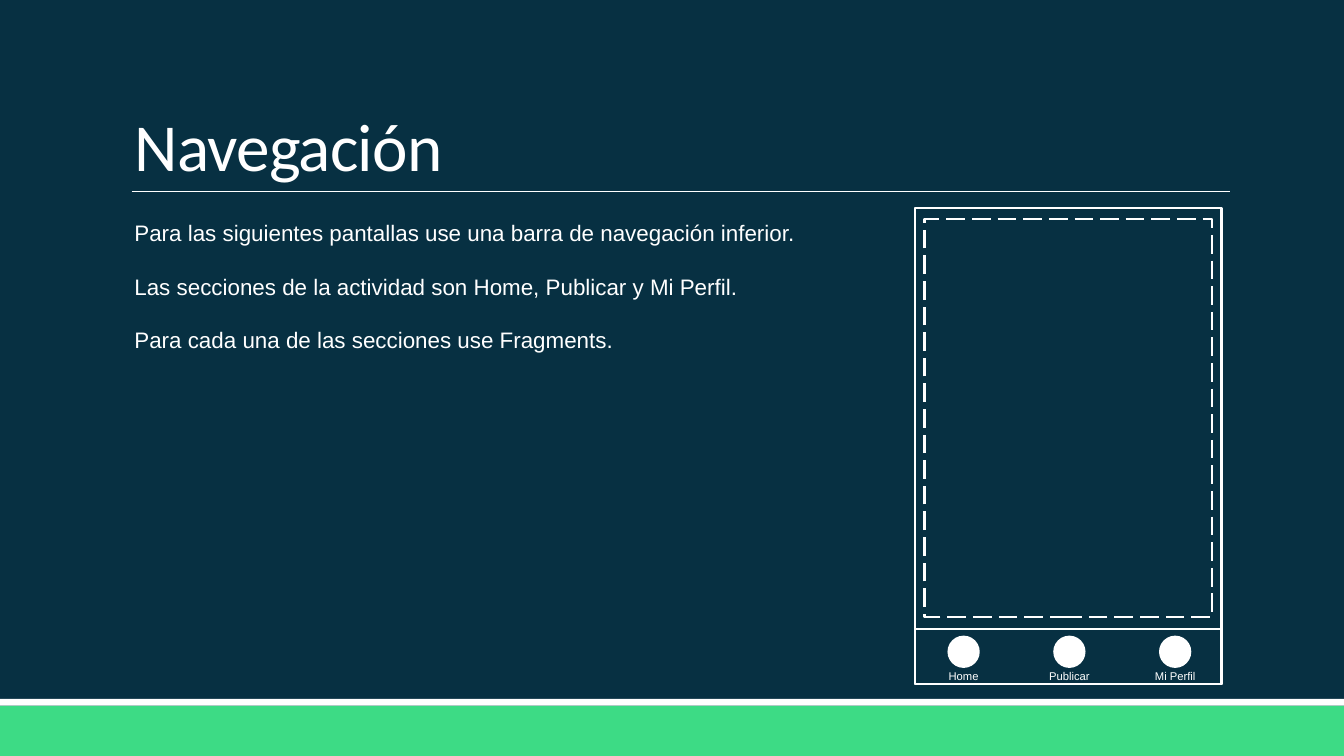
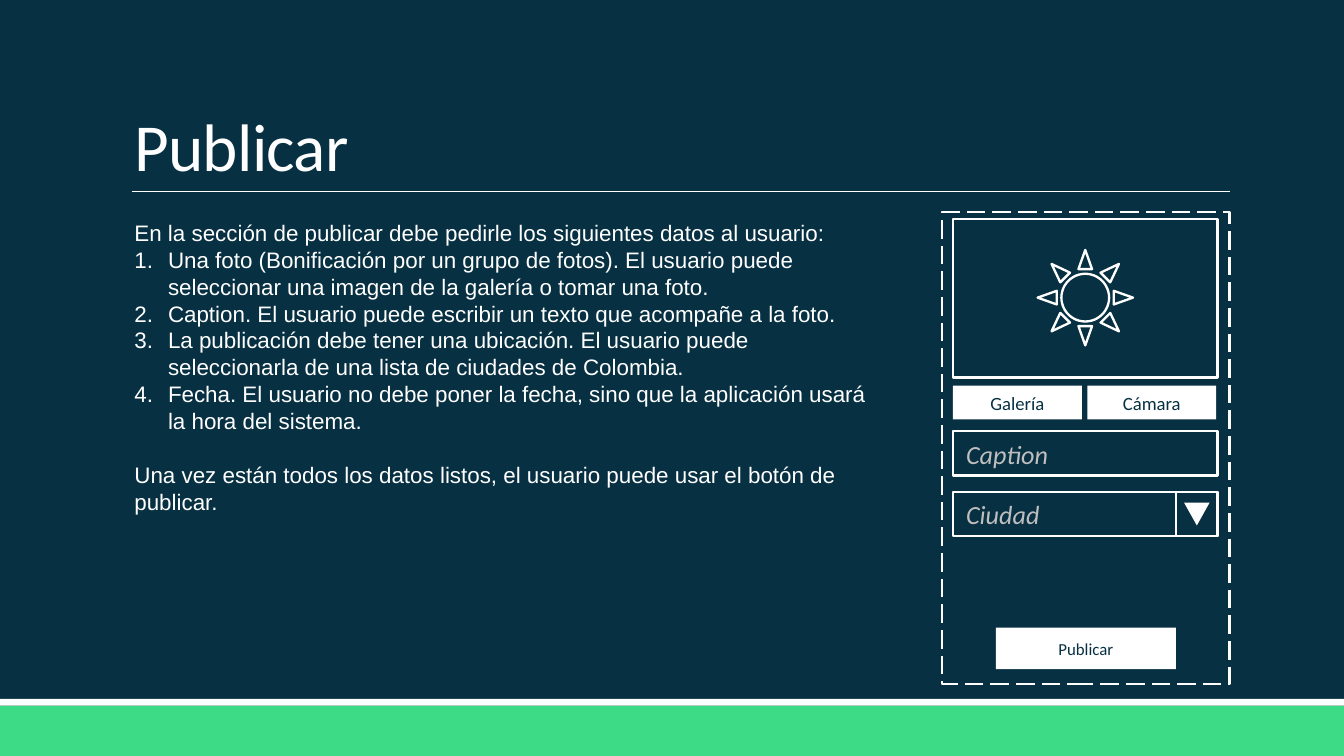
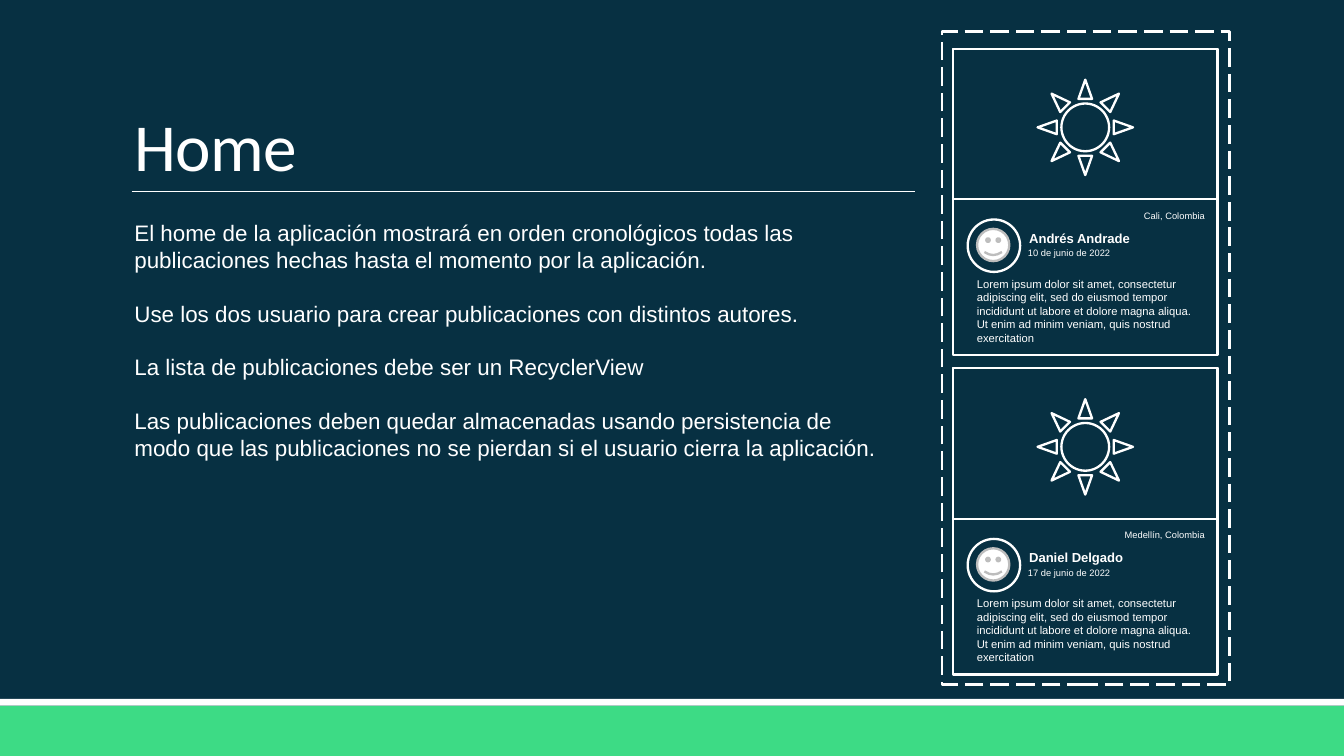
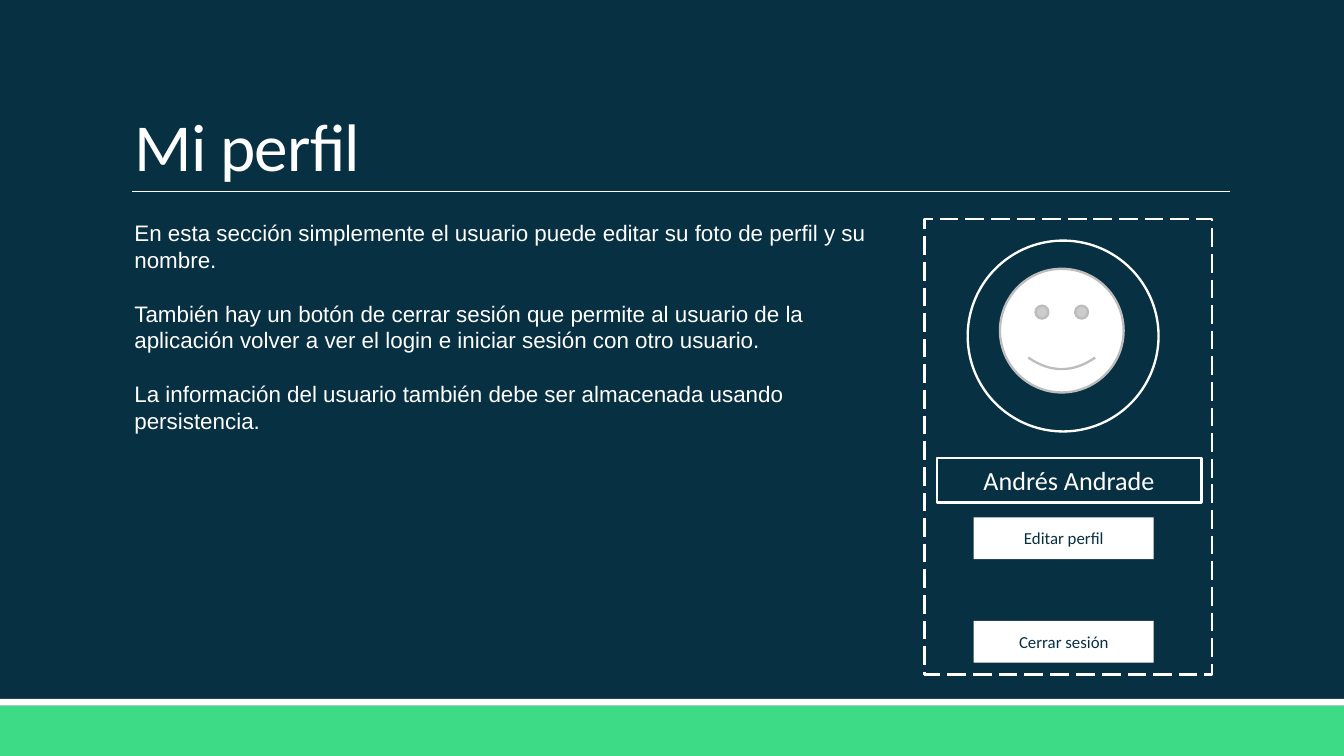
import pptx
import pptx.util
import pptx.dml.color
import pptx.enum.dml
import pptx.enum.shapes
import pptx.enum.text
from lxml import etree

RGB = pptx.dml.color.RGBColor
NAVY = RGB(0x07, 0x30, 0x42)
GREEN = RGB(0x3D, 0xDB, 0x85)
WHITE = RGB(0xFF, 0xFF, 0xFF)
HINT = RGB(0xBF, 0xBF, 0xBF)
FACE_EDGE = RGB(0xBD, 0xBD, 0xBD)
SHAPE = pptx.enum.shapes.MSO_SHAPE
ALIGN = pptx.enum.text.PP_ALIGN
ANCHOR = pptx.enum.text.MSO_ANCHOR
DRAWING = "http://schemas.openxmlformats.org/drawingml/2006/main"

COLUMNS, ROWS = 100, 56.25
CELL = pptx.util.Inches(10) // COLUMNS
HEADING_AREA = (9, 2.4, 82.5, 11.9)
BODY_AREA = (9, 15.8, 57.5, 27.3)
GAP = pptx.util.Pt(14.4)
INDENT = pptx.util.Inches(0.25)

NUMBERED = "numbered"
PLAIN = "plain"
PAGES = {
    "Navegación": [
        (PLAIN, "Para las siguientes pantallas use una barra de navegación inferior."),
        (PLAIN, "Las secciones de la actividad son Home, Publicar y Mi Perfil."),
        (PLAIN, "Para cada una de las secciones use Fragments."),
    ],
    "Publicar": [
        (PLAIN, "En la sección de publicar debe pedirle los siguientes datos al usuario:"),
        (NUMBERED, "Una foto (Bonificación por un grupo de fotos). El usuario puede "
                   "seleccionar una imagen de la galería o tomar una foto."),
        (NUMBERED, "Caption. El usuario puede escribir un texto que acompañe a la foto."),
        (NUMBERED, "La publicación debe tener una ubicación. El usuario puede "
                   "seleccionarla de una lista de ciudades de Colombia."),
        (NUMBERED, "Fecha. El usuario no debe poner la fecha, sino que la aplicación "
                   "usará la hora del sistema."),
        (PLAIN, "Una vez están todos los datos listos, el usuario puede usar el botón "
                "de publicar."),
    ],
    "Home": [
        (PLAIN, "El home de la aplicación mostrará en orden cronológicos todas las "
                "publicaciones hechas hasta el momento por la aplicación."),
        (PLAIN, "Use los dos usuario para crear publicaciones con distintos autores."),
        (PLAIN, "La lista de publicaciones debe ser un RecyclerView"),
        (PLAIN, "Las publicaciones deben quedar almacenadas usando persistencia de modo "
                "que las publicaciones no se pierdan si el usuario cierra la aplicación."),
    ],
    "Mi perfil": [
        (PLAIN, "En esta sección simplemente el usuario puede editar su foto de perfil "
                "y su nombre."),
        (PLAIN, "También hay un botón de cerrar sesión que permite al usuario de la "
                "aplicación volver a ver el login e iniciar sesión con otro usuario."),
        (PLAIN, "La información del usuario también debe ser almacenada usando "
                "persistencia."),
    ],
}
SECTIONS = ["Home", "Publicar", "Mi Perfil"]
SOURCES = ["Galería", "Cámara"]
FIELDS = ["Caption", "Ciudad"]
POSTS = [
    ("Andrés Andrade", "10 de junio de 2022", "Cali, Colombia"),
    ("Daniel Delgado", "17 de junio de 2022", "Medellín, Colombia"),
]
CAPTION = ("Lorem ipsum dolor sit amet, consectetur adipiscing elit, sed do eiusmod "
           "tempor incididunt ut labore et dolore magna aliqua. Ut enim ad minim "
           "veniam, quis nostrud exercitation")
PROFILE_NAME = "Andrés Andrade"
PROFILE_BUTTONS = [("Editar perfil", 38.5), ("Cerrar sesión", 46.2)]


def cells(*counts):
    return [round(count * CELL) for count in counts]


def format_text(frame, size, color, font="Arial", align=ALIGN.LEFT,
                anchor=ANCHOR.TOP, bold=False, italic=False):
    frame.auto_size = pptx.enum.text.MSO_AUTO_SIZE.NONE
    frame.vertical_anchor = anchor
    for paragraph in frame.paragraphs:
        paragraph.alignment = align
        for run in paragraph.runs:
            run.font.size = pptx.util.Pt(size)
            run.font.name = font
            run.font.color.rgb = color
            run.font.bold = bold
            run.font.italic = italic


def draw(slide, kind, area, fill=None, edge=None, dashed=False):
    part = slide.shapes.add_shape(kind, *cells(*area))
    part.shadow.inherit = False
    if fill is None:
        part.fill.background()
    else:
        part.fill.solid()
        part.fill.fore_color.rgb = fill
    if edge is None:
        part.line.fill.background()
    else:
        part.line.color.rgb = edge
        part.line.width = pptx.util.Pt(1.25)
        if dashed:
            part.line.dash_style = pptx.enum.dml.MSO_LINE.LONG_DASH
    return part


def outline(slide, area, kind=SHAPE.RECTANGLE, dashed=False):
    return draw(slide, kind, area, edge=WHITE, dashed=dashed)


def face(slide, area):
    draw(slide, SHAPE.SMILEY_FACE, area, WHITE, FACE_EDGE)


def button(slide, area, caption, size=9):
    part = draw(slide, SHAPE.RECTANGLE, area, WHITE)
    part.text_frame.text = caption
    format_text(part.text_frame, size, NAVY, "Calibri", ALIGN.CENTER, ANCHOR.MIDDLE)


def field(slide, area, content, color, **style):
    part = outline(slide, area)
    part.text_frame.text = content
    format_text(part.text_frame, 14, color, "Calibri", **style)


def note(slide, area, content, size, wrap=True, **style):
    frame = slide.shapes.add_textbox(*cells(*area)).text_frame
    frame.text = content
    frame.word_wrap = wrap
    format_text(frame, size, WHITE, **style)


def prepare_layout(layout):
    layout.background.fill.solid()
    layout.background.fill.fore_color.rgb = NAVY
    areas = {0: HEADING_AREA, 1: BODY_AREA}
    for holder in list(layout.placeholders):
        area = areas.get(holder.placeholder_format.idx)
        if area:
            holder.left, holder.top, holder.width, holder.height = cells(*area)
        else:
            holder.element.getparent().remove(holder.element)


def share_frame(slide, layout):
    ground = draw(slide, SHAPE.RECTANGLE, (0, 52.5, COLUMNS, ROWS - 52.5), GREEN)
    stripe = draw(slide, SHAPE.RECTANGLE, (0, 52, COLUMNS, 0.5), WHITE)
    rule = slide.shapes.add_connector(
        pptx.enum.shapes.MSO_CONNECTOR.STRAIGHT, *cells(9.8, 14.25, 91.5, 14.25))
    rule.line.color.rgb = WHITE
    rule.line.width = pptx.util.Pt(0.5)
    etree.SubElement(rule.element.spPr, f"{{{DRAWING}}}effectLst")
    for part in (ground, stripe, rule):
        layout.shapes.element.append(part.element)


def write_page(slide, heading, body):
    title = slide.shapes.title.text_frame
    title.text = heading
    format_text(title, 36, WHITE, "Calibri", anchor=ANCHOR.BOTTOM)
    title.paragraphs[0].line_spacing = 0.85
    title.paragraphs[0].runs[0]._r.get_or_add_rPr().set("spc", "-40")

    frame = slide.placeholders[1].text_frame
    frame.text = "\n".join(content for _, content in body)
    format_text(frame, 12, WHITE)
    for index, (paragraph, (kind, _)) in enumerate(zip(frame.paragraphs, body)):
        numbered = kind == NUMBERED
        paragraph.space_before = GAP if index and not numbered else 0
        properties = paragraph._p.get_or_add_pPr()
        properties.set("marL", str(INDENT if numbered else 0))
        properties.set("indent", str(-INDENT if numbered else 0))
        if numbered:
            etree.SubElement(properties, f"{{{DRAWING}}}buFont", typeface="+mj-lt")
            etree.SubElement(properties, f"{{{DRAWING}}}buAutoNum", type="arabicPeriod")
        else:
            etree.SubElement(properties, f"{{{DRAWING}}}buNone")


def draw_navigation(slide):
    outline(slide, (68.1, 15.5, 22.8, 35.4))
    outline(slide, (68.1, 46.8, 22.8, 4.1))
    for index, section in enumerate(SECTIONS):
        center = 71.7 + 7.87 * index
        draw(slide, SHAPE.OVAL, (center - 1.2, 47.3, 2.4, 2.4), WHITE)
        note(slide, (center - 2.55, 49.3, 5.1, 2), section, 6, wrap=False,
             align=ALIGN.CENTER)
    outline(slide, (68.8, 16.3, 21.4, 29.6), dashed=True)


def draw_publishing(slide):
    outline(slide, (70.1, 15.8, 21.4, 35.1), dashed=True)
    button(slide, (74.1, 46.7, 13.4, 3.1), "Publicar")
    for index, hint in enumerate(FIELDS):
        field(slide, (70.9, 32.1 + 4.5 * index, 19.7, 3.3), hint, HINT, italic=True)
    outline(slide, (87.5, 36.6, 3.1, 3.3))
    arrow = draw(slide, SHAPE.ISOSCELES_TRIANGLE, (88.1, 37.4, 1.9, 1.7), WHITE)
    arrow.rotation = 180
    outline(slide, (70.9, 16.3, 19.7, 11.8))
    outline(slide, (77.2, 18.6, 7.1, 7.1), SHAPE.SUN)
    for index, source in enumerate(SOURCES):
        button(slide, (70.9 + 10 * index, 28.7, 9.6, 2.5), source, 10)


def draw_feed(slide):
    draw(slide, SHAPE.RECTANGLE, (68.1, 11.6, 26.8, 5.5), NAVY)
    outline(slide, (70.1, 2.35, 21.4, 48.6), dashed=True)
    for index, (author, date, place) in enumerate(POSTS):
        top = 3.63 + 23.77 * index
        outline(slide, (70.9, top, 19.7, 22.8))
        outline(slide, (70.9, top, 19.7, 11.2))
        outline(slide, (77.2, top + 2.3, 7.1, 7.1), SHAPE.SUN)
        outline(slide, (72, top + 12.7, 3.9, 3.9), SHAPE.OVAL)
        face(slide, (72.7, top + 13.4, 2.4, 2.4))
        note(slide, (75.6, top + 13, 11, 2.2), author, 7, bold=True)
        note(slide, (71.7, top + 16.5, 18.1, 6.1), CAPTION, 6)
        note(slide, (75.5, top + 14.3, 11, 1.9), date, 5)
        note(slide, (80.7, top + 11.5, 9.95, 1.9), place, 5, align=ALIGN.RIGHT)


def draw_profile(slide):
    outline(slide, (68.8, 16.3, 21.4, 33.9), dashed=True)
    outline(slide, (72, 17.9, 14.2, 14.2), SHAPE.OVAL)
    for caption, top in PROFILE_BUTTONS:
        button(slide, (72.45, top, 13.4, 3.1), caption)
    field(slide, (69.7, 34.1, 19.7, 3.3), PROFILE_NAME, WHITE, align=ALIGN.CENTER)
    face(slide, (74.4, 20, 9.2, 9.2))


def main():
    deck = pptx.Presentation()
    deck.slide_width, deck.slide_height = cells(COLUMNS, ROWS)
    layout = deck.slide_layouts[1]
    prepare_layout(layout)
    screens = [draw_navigation, draw_publishing, draw_feed, draw_profile]
    for index, ((heading, body), draw_screen) in enumerate(zip(PAGES.items(), screens)):
        slide = deck.slides.add_slide(layout)
        if index == 0:
            share_frame(slide, layout)
        write_page(slide, heading, body)
        draw_screen(slide)
    deck.save("out.pptx")


if __name__ == "__main__":
    main()
